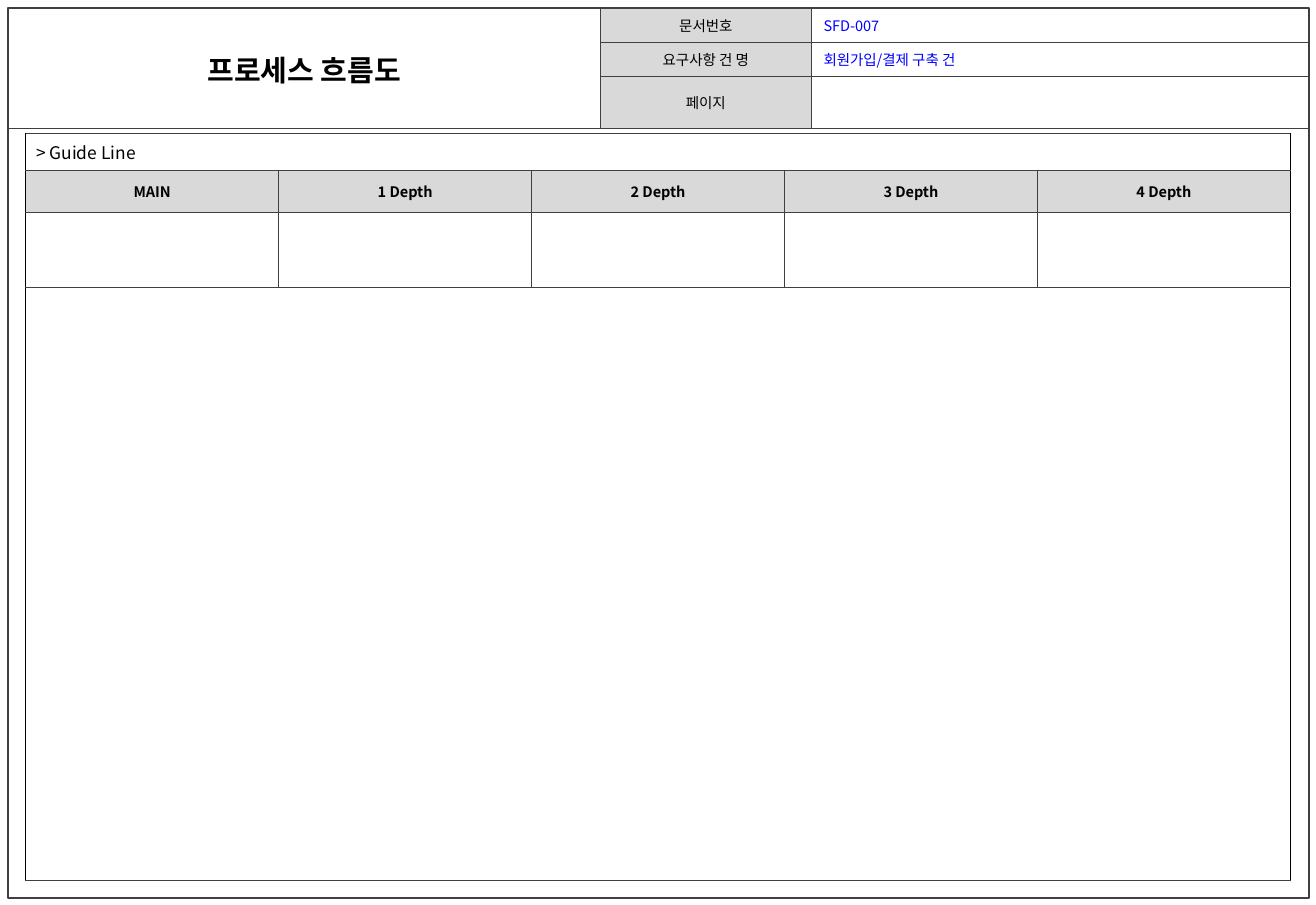
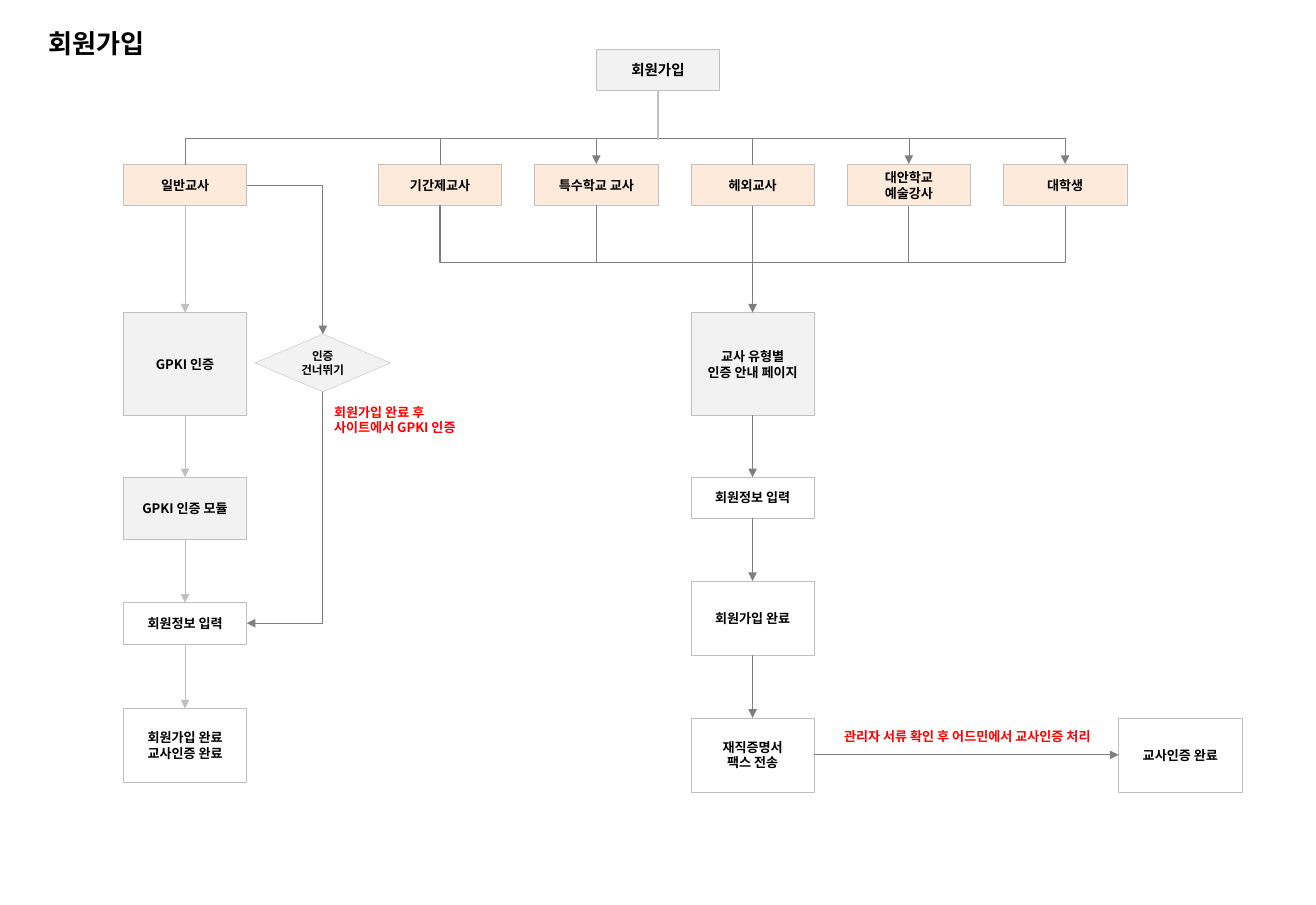
import pptx
import pptx.util
from lxml import etree
from pptx.dml.color import RGBColor
from pptx.enum.shapes import MSO_CONNECTOR, MSO_SHAPE
from pptx.enum.text import MSO_ANCHOR, MSO_AUTO_SIZE, PP_ALIGN
from pptx.oxml.ns import qn

PX = 9000  # 40 px to the centimetre
SLIDE_WIDTH, SLIDE_HEIGHT = 1280, 880
FONT = "Noto Sans CJK KR"

BLACK = RGBColor(0x00, 0x00, 0x00)
WHITE = RGBColor(0xFF, 0xFF, 0xFF)
RED = RGBColor(0xFF, 0x00, 0x00)
BLUE = RGBColor(0x00, 0x00, 0xFF)
CHARCOAL = RGBColor(0x40, 0x40, 0x40)
GRAY = RGBColor(0x7F, 0x7F, 0x7F)
SILVER = RGBColor(0xBF, 0xBF, 0xBF)
LABEL_GRAY = RGBColor(0xD9, 0xD9, 0xD9)
PALE_GRAY = RGBColor(0xF2, 0xF2, 0xF2)
PEACH = RGBColor(0xFD, 0xEA, 0xDA)

# Text styles: size, bold, colour, alignment
TITLE = (20, True, BLACK, PP_ALIGN.CENTER)
LABEL = (10, False, BLACK, PP_ALIGN.CENTER)
VALUE = (10, False, BLUE, PP_ALIGN.LEFT)
GUIDE = (12, False, BLACK, PP_ALIGN.LEFT)
HEADING = (10, True, BLACK, PP_ALIGN.CENTER)
STEP = (9, True, BLACK, PP_ALIGN.CENTER)
DECISION = (8, True, BLACK, PP_ALIGN.CENTER)
PAGE_TITLE = (18, True, BLACK, PP_ALIGN.LEFT)
NOTE = (9, True, RED, PP_ALIGN.LEFT)

# Slide 1: cells are (row, column): (text, style, fill)
FRAME = (8, 8, 1265, 865)
DOCUMENT = {
    "at": (8, 8), "columns": [576, 205, 484], "rows": [33, 33, 50],
    "merges": [((0, 0), (2, 0))],
    "cells": {
        (0, 0): ("프로세스 흐름도", TITLE, WHITE),
        (0, 1): ("문서번호", LABEL, LABEL_GRAY),
        (0, 2): ("SFD-007", VALUE, WHITE),
        (1, 1): ("요구사항 건 명", LABEL, LABEL_GRAY),
        (1, 2): ("회원가입/결제 구축 건", VALUE, WHITE),
        (2, 1): ("페이지", LABEL, LABEL_GRAY),
    },
    "sides": (CHARCOAL, 0.75), "ends": (CHARCOAL, 0.75),
}
DEPTHS = ["MAIN", "1 Depth", "2 Depth", "3 Depth", "4 Depth"]
GUIDELINE = {
    "at": (25, 130), "columns": [246] * 5, "rows": [36, 40, 73, 577],
    "merges": [((0, 0), (0, 4)), ((3, 0), (3, 4))],
    "cells": {
        (0, 0): ("> Guide Line", GUIDE, WHITE),
        **{(1, i): (depth, HEADING, LABEL_GRAY) for i, depth in enumerate(DEPTHS)},
    },
    "sides": (BLACK, 0.45), "ends": (CHARCOAL, 0.45),
}
INNER_BORDER = (CHARCOAL, 0.45)

# Slide 2
STEP_WIDTH, LOW, HIGH = 120, 40, 72
GENERAL_LEFT = 120
TYPE_LEFT, TYPE_PITCH = 368, 152
TYPE_TOP = 160
TEACHER_TYPES = ["기간제교사", "특수학교 교사", "헤외교사", "대안학교\n예술강사", "대학생"]
# Steps from top to bottom: text, top, height, fill
GENERAL_FLOW = [
    ("일반교사", TYPE_TOP, LOW, PEACH),
    ("GPKI 인증", 304, 100, PALE_GRAY),
    ("GPKI 인증 모듈", 464, 60, PALE_GRAY),
    ("회원정보 입력", 586, LOW, WHITE),
    ("회원가입 완료\n교사인증 완료", 689, HIGH, WHITE),
]
OTHER_FLOW = [
    ("헤외교사", TYPE_TOP, LOW, PEACH),
    ("교사 유형별\n인증 안내 페이지", 304, 100, PALE_GRAY),
    ("회원정보 입력", 464, LOW, WHITE),
    ("회원가입 완료", 565, HIGH, WHITE),
    ("재직증명서\n팩스 전송", 698, HIGH, WHITE),
]
OTHER_COLUMN = 2
SIGN_UP = ("회원가입", 580, 48, STEP_WIDTH, LOW)
SKIP = ("인증\n건너뛰기", 248, 325, 132, 56)
VERIFIED = ("교사인증 완료", 1088, 698, STEP_WIDTH, HIGH)
FREE_TEXTS = [
    ("회원가입", PAGE_TITLE, 37, 22, 114, 41),
    ("관리자 서류 확인 후 어드민에서 교사인증 처리", NOTE, 811, 703, 263, 25),
    ("회원가입 완료 후\n사이트에서 GPKI 인증", NOTE, 315, 388, 145, 41),
]
SPLIT_Y, JOIN_Y = 134, 255


def px(*lengths):
    return [round(length * PX) for length in lengths]


def set_all(target, formats):
    for name, value in formats.items():
        setattr(target, name, value)


def write(frame, text, style):
    size, bold, colour, align = style
    frame.text = text
    for paragraph in frame.paragraphs:
        paragraph.alignment = align
        for run in paragraph.runs:
            set_all(run.font, {"size": pptx.util.Pt(size), "bold": bold, "name": FONT})
            run.font.color.rgb = colour
            etree.SubElement(run.font._element, qn("a:ea"), typeface=FONT)


def set_line(line, colour, width):
    line.color.rgb = colour
    line.width = pptx.util.Pt(width)


def add_borders(cell, row, column, table, layout):
    """Merged-away cells carry only the edges on the outside of the table."""
    last_row = row + (cell.span_height if cell.is_merge_origin else 1)
    last_column = column + (cell.span_width if cell.is_merge_origin else 1)
    edges = [
        ("a:lnL", column == 0, layout["sides"]),
        ("a:lnR", last_column == len(table.columns), layout["sides"]),
        ("a:lnT", row == 0, layout["ends"]),
        ("a:lnB", last_row == len(table.rows), layout["ends"]),
    ]
    properties = cell._tc.get_or_add_tcPr()
    for tag, outer, outer_border in edges:
        if cell.is_spanned and not outer:
            continue
        colour, width = outer_border if outer else INNER_BORDER
        border = etree.SubElement(properties, qn(tag), w=str(int(pptx.util.Pt(width))))
        fill = etree.SubElement(border, qn("a:solidFill"))
        etree.SubElement(fill, qn("a:srgbClr"), val=str(colour))


def add_grid(slide, layout):
    columns, rows = layout["columns"], layout["rows"]
    table = slide.shapes.add_table(
        len(rows), len(columns), *px(*layout["at"], sum(columns), sum(rows))).table
    set_all(table, {"first_row": False, "horz_banding": False})
    for column, width in zip(table.columns, px(*columns)):
        column.width = width
    for row, height in zip(table.rows, px(*rows)):
        row.height = height
    for first, last in layout["merges"]:
        table.cell(*first).merge(table.cell(*last))
    for row in range(len(rows)):
        for column in range(len(columns)):
            cell = table.cell(row, column)
            add_borders(cell, row, column, table, layout)
            text, style, fill = layout["cells"].get((row, column), ("", LABEL, WHITE))
            cell.fill.solid()
            cell.fill.fore_color.rgb = fill
            if text:
                cell.vertical_anchor = MSO_ANCHOR.MIDDLE
                write(cell.text_frame, text, style)
            if style is VALUE:
                cell.margin_left = px(12)[0]


def add_step(slide, text, left, top, width, height, fill,
             style=STEP, outline=MSO_SHAPE.RECTANGLE):
    step = slide.shapes.add_shape(outline, *px(left, top, width, height))
    step.shadow.inherit = False
    step.fill.solid()
    step.fill.fore_color.rgb = fill
    set_line(step.line, SILVER, 0.25)
    set_all(step.text_frame, {"word_wrap": True, "vertical_anchor": MSO_ANCHOR.MIDDLE})
    write(step.text_frame, text, style)


def add_link(slide, start, end, colour=GRAY, width=0.75, arrow=True,
             kind=MSO_CONNECTOR.STRAIGHT):
    link = slide.shapes.add_connector(kind, *px(*start, *end))
    set_line(link.line, colour, width)
    properties = link._element.spPr
    if arrow:
        etree.SubElement(properties.find(qn("a:ln")), qn("a:tailEnd"), type="triangle")
    etree.SubElement(properties, qn("a:effectLst"))
    return properties


def add_corner(slide, start, end, turn=0):
    """One-bend arrow; a quarter turn makes it leave downwards, to the left."""
    if turn:
        middle_x, middle_y = (start[0] + end[0]) / 2, (start[1] + end[1]) / 2
        half_x, half_y = abs(end[1] - start[1]) / 2, abs(end[0] - start[0]) / 2
        start = (middle_x - half_x, middle_y - half_y)
        end = (middle_x + half_x, middle_y + half_y)
    properties = add_link(slide, start, end, kind=MSO_CONNECTOR.ELBOW)
    properties.find(qn("a:prstGeom")).set("prst", "bentConnector2")
    if turn:
        properties.find(qn("a:xfrm")).set("rot", str(turn * 60000))


def add_bracket(slide, left, right, y, bus_y, **look):
    """U-shaped link between two points at height y, by way of bus_y."""
    upward = bus_y < y
    middle_x, half = (left + right) / 2, (right - left) / 2
    # The frame is one px thick before its quarter turn; the bend lies far outside it.
    start, end = (middle_x + 0.5, y - half), (middle_x - 0.5, y + half)
    if upward:
        start, end = (start[0], end[1]), (end[0], start[1])
    properties = add_link(slide, start, end, kind=MSO_CONNECTOR.ELBOW, **look)
    properties.find(qn("a:xfrm")).set("rot", str((90 if upward else 270) * 60000))
    guides = properties.find(qn("a:prstGeom")).get_or_add_avLst()
    etree.SubElement(guides, qn("a:gd"), name="adj1",
                     fmla=f"val {round((abs(bus_y - y) + 0.5) * 100000)}")


def add_flow(slide, steps, left, colour):
    centre = left + STEP_WIDTH / 2
    for text, top, height, fill in steps:
        add_step(slide, text, left, top, STEP_WIDTH, height, fill)
    for (_, top, height, _), (_, next_top, _, _) in zip(steps, steps[1:]):
        add_link(slide, (centre, top + height), (centre, next_top), colour)


def build_cover(slide):
    frame = slide.shapes.add_shape(MSO_SHAPE.RECTANGLE, *px(*FRAME))
    frame.shadow.inherit = False
    frame.fill.background()
    set_line(frame.line, CHARCOAL, 1.5)
    for layout in (DOCUMENT, GUIDELINE):
        add_grid(slide, layout)


def build_sign_up(slide):
    half = STEP_WIDTH / 2
    type_lefts = [TYPE_LEFT + TYPE_PITCH * i for i in range(len(TEACHER_TYPES))]
    contract, special, overseas, alternative, student = [x + half for x in type_lefts]
    general = GENERAL_LEFT + half
    type_bottom = TYPE_TOP + LOW

    add_step(slide, *SIGN_UP, PALE_GRAY, style=HEADING)
    for i, (text, left) in enumerate(zip(TEACHER_TYPES, type_lefts)):
        if i != OTHER_COLUMN:
            add_step(slide, text, left, TYPE_TOP, STEP_WIDTH, LOW, PEACH)
    add_flow(slide, GENERAL_FLOW, GENERAL_LEFT, SILVER)
    add_flow(slide, OTHER_FLOW, type_lefts[OTHER_COLUMN], GRAY)
    add_step(slide, *SKIP, PALE_GRAY, DECISION, MSO_SHAPE.FLOWCHART_DECISION)
    add_step(slide, *VERIFIED, WHITE)

    for left, right in [(general, student), (contract, special), (overseas, alternative)]:
        add_bracket(slide, left, right, TYPE_TOP, SPLIT_Y, width=0.25)
    for left, right in [(contract, student), (special, alternative)]:
        add_bracket(slide, left, right, type_bottom, JOIN_Y, arrow=False)
    _, sign_up_left, sign_up_top, _, _ = SIGN_UP
    add_link(slide, (sign_up_left + half, sign_up_top + LOW),
             (sign_up_left + half, SPLIT_Y + 2), SILVER, arrow=False)

    _, skip_left, skip_top, skip_width, skip_height = SKIP
    skip_x, general_right = skip_left + skip_width / 2, GENERAL_LEFT + STEP_WIDTH
    add_corner(slide, (general_right, TYPE_TOP + LOW / 2), (skip_x, skip_top))
    add_corner(slide, (skip_x, skip_top + skip_height),
               (general_right, GENERAL_FLOW[3][1] + LOW / 2), turn=90)
    verified_y = VERIFIED[2] + HIGH / 2
    add_link(slide, (overseas + half, verified_y), (VERIFIED[1], verified_y))

    for text, style, *place in FREE_TEXTS:
        frame = slide.shapes.add_textbox(*px(*place)).text_frame
        set_all(frame, {"word_wrap": False, "auto_size": MSO_AUTO_SIZE.SHAPE_TO_FIT_TEXT})
        write(frame, text, style)


def main():
    deck = pptx.Presentation()
    deck.slide_width = SLIDE_WIDTH * PX
    deck.slide_height = SLIDE_HEIGHT * PX
    for build in (build_cover, build_sign_up):
        build(deck.slides.add_slide(deck.slide_layouts[6]))
    deck.save("out.pptx")


if __name__ == "__main__":
    main()
